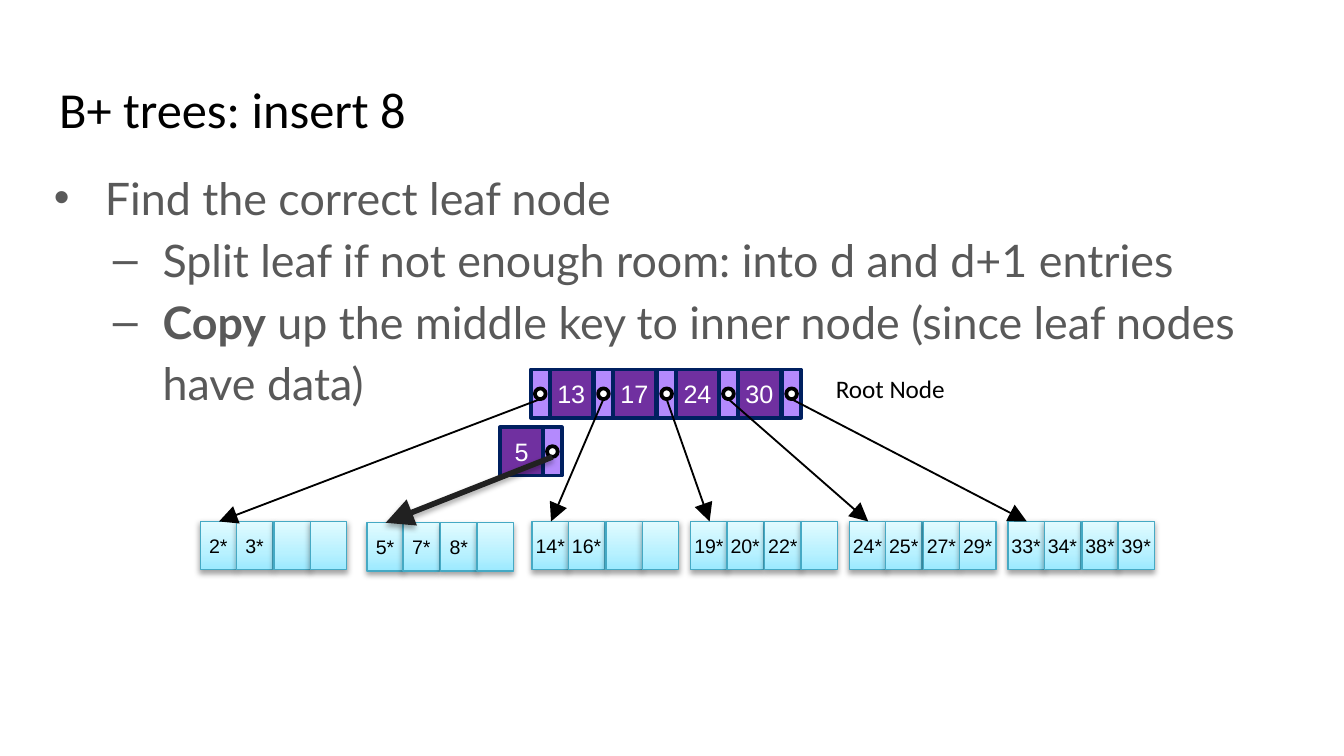
from dataclasses import dataclass
from typing import Any, Optional

import lxml.etree
import pptx
import pptx.dml.color
import pptx.enum.shapes
import pptx.enum.text
import pptx.oxml.ns
import pptx.util

EMU_PER_PX = 9144  # 100 px to the inch
SLIDE_WIDTH = 1000
RECT = pptx.enum.shapes.MSO_SHAPE.RECTANGLE
OVAL = pptx.enum.shapes.MSO_SHAPE.OVAL
ALIGN = pptx.enum.text.PP_ALIGN
ANCHOR = pptx.enum.text.MSO_ANCHOR
NO_FIT = pptx.enum.text.MSO_AUTO_SIZE.NONE


@dataclass(frozen=True)
class Theme:
    black: str = "000000"
    white: str = "FFFFFF"
    body: str = "595959"
    key: str = "7030A0"
    pointer: str = "B48AFD"
    node_line: str = "002060"
    leaf_line: str = "45A9C4"
    new_arrow: str = "212121"
    leaf_stops: tuple = ((0, "9BE9FF"), (35, "B8F1FF"), (100, "E2FBFF"))
    title_size: float = 27
    body_size: float = 24
    node_size: float = 13.5
    leaf_size: float = 10.5


@dataclass(frozen=True)
class Box:
    left: int
    top: int
    width: int
    height: int

    def emu(self) -> list[int]:
        return [px(v) for v in (self.left, self.top, self.width, self.height)]


@dataclass(frozen=True)
class Leaf:
    left: int
    top: int
    entries: tuple[str, ...]


@dataclass(frozen=True)
class Bullet:
    runs: tuple[tuple[str, bool], ...]
    level: int
    margin: int
    hanging: int
    mark: str


THEME = Theme()
CELL_HEIGHT = 36
KEY_WIDTH, POINTER_WIDTH, DOT = 32, 14, 8
LEAF_WIDTH, SLOTS = 110, 4
ROOT_LEFT, ROOT_TOP, ROOT_SPAN = 395, 275, 187
ROOT_KEYS = ("13", "17", "24", "30")
ROOT_LEAVES = (
    Leaf(149, 388, ("2*", "3*")),
    Leaf(396, 388, ("14*", "16*")),
    Leaf(514, 388, ("19*", "20*", "22*")),
    Leaf(632, 388, ("24*", "25*", "27*", "29*")),
    Leaf(750, 388, ("33*", "34*", "38*", "39*")),
)
NEW_LEAF = Leaf(273, 389, ("5*", "7*", "8*"))
BULLETS = (
    Bullet((("Find the correct leaf node", False),), 0, 38, 38, "•"),
    Bullet((("Split leaf if not enough room: into d and d+1 entries", False),), 1, 81, 37, "–"),
    Bullet((("Copy", True), (" up the middle key to inner node (since leaf nodes have data)", False)),
           1, 81, 37, "–"),
)


def px(value: int) -> int:
    return value * EMU_PER_PX


def rgb(value: str) -> pptx.dml.color.RGBColor:
    return pptx.dml.color.RGBColor.from_string(value)


def apply_format(target: Any, values: dict[str, Any]) -> None:
    for name, value in values.items():
        setattr(target, name, value)


def add_xml(parent: Any, tag: str, **attributes: Any) -> Any:
    return lxml.etree.SubElement(parent, pptx.oxml.ns.qn(tag),
                                 {name: str(value) for name, value in attributes.items()})


def set_frame(frame: Any, margins: tuple[int, int], anchor: Any) -> None:
    side, end = map(px, margins)
    apply_format(frame, {"margin_left": side, "margin_right": side, "margin_top": end,
                         "margin_bottom": end, "vertical_anchor": anchor,
                         "word_wrap": True, "auto_size": NO_FIT})


def add_run(paragraph: Any, text: str, font: str, size: float, color: str, bold: bool = False) -> None:
    run = paragraph.add_run()
    run.text = text
    apply_format(run.font, {"name": font, "size": pptx.util.Pt(size), "bold": bold})
    run.font.color.rgb = rgb(color)


def set_effects(item: Any, opacity: int = 0, distance: float = 0) -> None:
    """Clear the theme shadow; a positive opacity puts a soft one below."""
    effects = add_xml(item.element.spPr, "a:effectLst")
    if opacity:
        shadow = add_xml(effects, "a:outerShdw", blurRad=pptx.util.Pt(3.1),
                         dist=pptx.util.Pt(distance), dir=5400000, rotWithShape=0)
        add_xml(add_xml(shadow, "a:srgbClr", val=THEME.black), "a:alpha", val=opacity * 1000)


def set_line(item: Any, color: str, width: float) -> None:
    item.line.color.rgb = rgb(color)
    item.line.width = pptx.util.Pt(width)


def add_cell(slide: Any, box: Box, fill: Optional[str], line: str, width: float, text: str = "",
             size: float = THEME.node_size, color: str = THEME.white, kind: Any = RECT) -> None:
    """Draw a node part; without a fill colour it takes the leaf gradient."""
    cell = slide.shapes.add_shape(kind, *box.emu())
    if fill:
        cell.fill.solid()
        cell.fill.fore_color.rgb = rgb(fill)
    else:
        cell.fill.gradient()
        cell.fill.gradient_angle = 90
        stops = cell.element.spPr.find(".//" + pptx.oxml.ns.qn("a:gsLst"))
        stops.clear()
        for position, stop_color in THEME.leaf_stops:
            add_xml(add_xml(stops, "a:gs", pos=position * 1000), "a:srgbClr", val=stop_color)
    set_line(cell, line, width)
    set_effects(cell, 0 if fill else 36, 1.6)
    if text:
        set_frame(cell.text_frame, (0, 4), ANCHOR.MIDDLE)
        paragraph = cell.text_frame.paragraphs[0]
        paragraph.alignment = ALIGN.CENTER
        add_run(paragraph, text, "Arial", size, color)


def add_key(slide: Any, left: int, top: int, text: str) -> None:
    add_cell(slide, Box(left, top, KEY_WIDTH, CELL_HEIGHT), THEME.key, THEME.node_line, 2, text)


def add_pointer(slide: Any, left: int, top: int) -> None:
    add_cell(slide, Box(left, top, POINTER_WIDTH, CELL_HEIGHT), THEME.pointer, THEME.node_line, 2)
    add_cell(slide, Box(left + 3, top + 14, DOT, DOT), THEME.white, THEME.black, 2, kind=OVAL)


def add_leaf(slide: Any, leaf: Leaf) -> None:
    for slot in range(SLOTS):
        text = leaf.entries[slot] if slot < len(leaf.entries) else ""
        box = Box(leaf.left + slot * LEAF_WIDTH // SLOTS, leaf.top, LEAF_WIDTH // SLOTS, CELL_HEIGHT)
        add_cell(slide, box, None, THEME.leaf_line, 0.75, text, THEME.leaf_size, THEME.black)


def add_arrow(slide: Any, pointer_left: int, pointer_top: int, leaf: Leaf,
              color: str = THEME.black, width: float = 1, opacity: int = 0) -> None:
    ends = (pointer_left + POINTER_WIDTH // 2, pointer_top + 22, leaf.left + 14, leaf.top)
    arrow = slide.shapes.add_connector(pptx.enum.shapes.MSO_CONNECTOR.STRAIGHT, *map(px, ends))
    set_line(arrow, color, width)
    stroke = arrow.element.spPr.find(pptx.oxml.ns.qn("a:ln"))
    add_xml(stroke, "a:tailEnd", type="triangle", w="lg", len="lg")
    set_effects(arrow, opacity, 1.8)


def place(item: Any, box: Box) -> None:
    apply_format(item, dict(zip(("left", "top", "width", "height"), box.emu())))


def add_bullets(body: Any) -> None:
    place(body, Box(30, 116, 936, 383))
    set_frame(body.text_frame, (10, 5), ANCHOR.TOP)
    for index, bullet in enumerate(BULLETS):
        paragraph = body.text_frame.add_paragraph() if index else body.text_frame.paragraphs[0]
        apply_format(paragraph, {"level": bullet.level, "line_spacing": 1.15,
                                 "space_before": 0, "space_after": 0})
        properties = paragraph._p.get_or_add_pPr()
        properties.set("marL", str(px(bullet.margin)))
        properties.set("indent", str(-px(bullet.hanging)))
        add_xml(add_xml(properties, "a:buClr"), "a:srgbClr", val=THEME.body)
        add_xml(properties, "a:buFont", typeface="Arial")
        add_xml(properties, "a:buChar", char=bullet.mark)
        for text, bold in bullet.runs:
            add_run(paragraph, text, "Lato", THEME.body_size, THEME.body, bold)


def main() -> None:
    deck = pptx.Presentation()
    apply_format(deck, {"slide_width": px(SLIDE_WIDTH), "slide_height": px(SLIDE_WIDTH) * 9 // 16})
    slide = deck.slides.add_slide(deck.slide_layouts[1])

    # Title and list
    title = slide.shapes.title
    place(title, Box(34, 49, 932, 63))
    set_frame(title.text_frame, (10, 10), ANCHOR.MIDDLE)
    heading = title.text_frame.paragraphs[0]
    heading.alignment = ALIGN.LEFT
    add_run(heading, "B+ trees: insert 8", "Calibri", THEME.title_size, THEME.black)
    add_bullets(slide.placeholders[1])

    # Root node: pointers at equal steps with a key after each but the last
    pointer_lefts = [ROOT_LEFT + round(i * ROOT_SPAN / len(ROOT_KEYS)) for i in range(len(ROOT_KEYS) + 1)]
    for left, key in zip(pointer_lefts, ROOT_KEYS):
        add_key(slide, left + POINTER_WIDTH, ROOT_TOP, key)
    for left in pointer_lefts:
        add_pointer(slide, left, ROOT_TOP)
    root_label = slide.shapes.add_textbox(*Box(615, 274, 116, 23).emu())
    set_frame(root_label.text_frame, (7, 4), ANCHOR.TOP)
    add_run(root_label.text_frame.paragraphs[0], "Root Node", "Calibri", THEME.node_size, THEME.black)

    # Leaves and their arrows
    for leaf in (*ROOT_LEAVES, NEW_LEAF):
        add_leaf(slide, leaf)
    for left, leaf in zip(pointer_lefts, ROOT_LEAVES):
        add_arrow(slide, left, ROOT_TOP, leaf)

    # Key copied up after the split
    copied_left, copied_top = 372, 318
    add_key(slide, copied_left, copied_top, "5")
    add_pointer(slide, copied_left + KEY_WIDTH, copied_top)
    add_arrow(slide, copied_left + KEY_WIDTH, copied_top, NEW_LEAF, THEME.new_arrow, 3, 34)

    deck.save("out.pptx")


if __name__ == "__main__":
    main()
